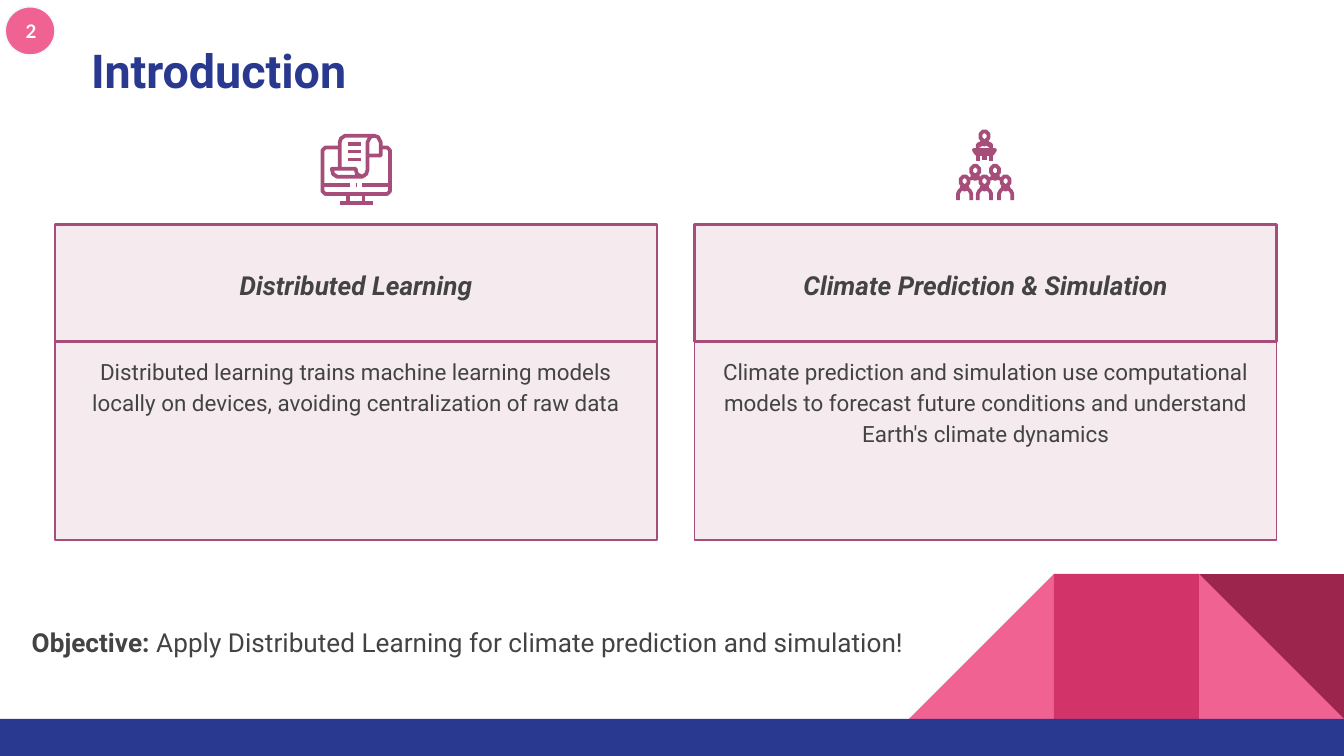
"""Build the introduction slide on distributed learning and climate prediction."""
from lxml import etree
from pptx import Presentation
from pptx.dml.color import RGBColor
from pptx.enum.shapes import MSO_SHAPE
from pptx.enum.text import MSO_ANCHOR, MSO_AUTO_SIZE, PP_ALIGN
from pptx.oxml.ns import qn
from pptx.util import Cm, Pt

RECTANGLE, OVAL, TRIANGLE = MSO_SHAPE.RECTANGLE, MSO_SHAPE.OVAL, MSO_SHAPE.RIGHT_TRIANGLE
CENTER, LEFT = PP_ALIGN.CENTER, PP_ALIGN.LEFT
TOP, MIDDLE = MSO_ANCHOR.TOP, MSO_ANCHOR.MIDDLE

BLUE, PINK, ROSE, WINE = "2A3990", "F06292", "D23369", "9C254D"
PLUM, BLUSH, GRAY, WHITE, PALE = "A64D79", "F2E5EB", "434343", "FFFFFF", "F1F7FF"
SLIDE_WIDTH, SLIDE_HEIGHT = 25.4, 14.29

TITLE = "Introduction"
OBJECTIVE = [
    ("Objective:", {"bold": True}),
    (" Apply Distributed Learning for climate prediction and simulation!", {}),
]
CARDS = [
    (1.04, 11.38, "Distributed Learning",
     "Distributed learning trains machine learning models locally on devices, "
     "avoiding centralization of raw data"),
    (13.13, 11, "Climate Prediction & Simulation",
     "Climate prediction and simulation use computational models to forecast "
     "future conditions and understand Earth's climate dynamics"),
]
HEADER_TOP, HEADER_HEIGHT, DETAIL_HEIGHT = 4.24, 2.21, 3.76

TILE, BAR_HEIGHT = 2.74, 0.7
TILES = [(1, TRIANGLE, 0, PINK), (3, TRIANGLE, 270, PINK),
         (2, RECTANGLE, 0, ROSE), (1, TRIANGLE, 180, WINE)]

COMPUTER = [
    [(14, 10), (3, 10), (1, 12), (1, 43), (3, 45), (50, 45), (52, 43), (52, 12), (50, 10), (46, 10)],
    [(1, 38), (22, 38)], [(26, 38), (27, 38)], [(31, 38), (52, 38)],
    [(14, 26), (14, 6), (15, 3), (18, 1), (40, 1), (43, 2), (45, 6), (45, 16), (35, 16)],
    [(40, 1), (37, 2), (35, 6), (35, 27), (34, 30), (31, 32), (12, 32), (9, 30), (8, 26),
     (26, 26), (27, 30), (31, 32)],
    [(20, 7), (30, 7)], [(20, 13), (30, 13)], [(20, 19), (30, 19)],
    [(20, 45), (20, 52)], [(32, 45), (32, 52)], [(14, 52), (39, 52)],
]
HEAD = [(-1, 0), (1, 0), (3, 2), (3, 5), (1, 7), (-1, 7), (-3, 5), (-3, 2), (-1, 0)]
NECK = [(-2, 7), (-2, 9), (0, 10), (2, 9), (2, 7)]
SHOULDERS = [(-5, 18), (-5, 13), (-4, 11), (-2, 9), (2, 9), (4, 11), (5, 13), (5, 18)]
UPPER_SHOULDERS = [(-4, 10), (-2, 9), (2, 9), (4, 10)]
PEOPLE = [(21, 1, [HEAD, NECK, SHOULDERS[2:6]])] + [
    (x, 27, [HEAD, NECK, UPPER_SHOULDERS]) for x in (14, 29)] + [
    (x, 35, [HEAD, NECK, SHOULDERS]) for x in (6, 21, 37)]
PODIUM = [
    [(16, 14), (16, 11), (18, 10)], [(24, 10), (26, 11), (26, 14)],
    [(13, 15), (29, 15), (27, 18), (15, 18), (13, 15)],
    [(16, 18), (16, 23)], [(26, 18), (26, 23)], [(19, 21), (23, 21)],
]
AUDIENCE = PODIUM + [[(x + dx, y + dy) for dx, dy in stroke]
                     for x, y, strokes in PEOPLE for stroke in strokes]
ICONS = [(6.07, 2.54, COMPUTER), (18.08, 2.46, AUDIENCE)]


def color(value):
    return RGBColor.from_string(value)


def place(shape, left, top, width, height):
    shape.left, shape.top, shape.width, shape.height = map(Cm, (left, top, width, height))


def write(shape, runs, size, ink, align=CENTER, anchor=MIDDLE, spacing=1.0, font="Roboto"):
    frame = shape.text_frame
    frame.word_wrap, frame.vertical_anchor = True, anchor
    frame.auto_size = MSO_AUTO_SIZE.NONE
    frame.margin_left = frame.margin_right = frame.margin_top = frame.margin_bottom = Cm(0.25)
    paragraph = frame.paragraphs[0]
    paragraph.alignment, paragraph.line_spacing = align, spacing
    paragraph.space_before = Pt(0)
    for text, style in runs:
        run = paragraph.add_run()
        run.text = text
        run.font.name, run.font.size = font, Pt(size)
        run.font.bold = style.get("bold", False)
        run.font.italic = style.get("italic", False)
        run.font.color.rgb = color(ink)
    return paragraph


def add_block(slide, kind, box, fill, line=None, line_width=0.75, opacity=100):
    shape = slide.shapes.add_shape(kind, *map(Cm, box))
    shape.shadow.inherit = False
    shape.fill.solid()
    shape.fill.fore_color.rgb = color(fill)
    if opacity < 100:
        tint = shape.fill._xPr.find(qn("a:solidFill"))[0]
        etree.SubElement(tint, qn("a:alpha")).set("val", str(opacity * 1000))
    if line:
        shape.line.color.rgb = color(line)
        shape.line.width = Pt(line_width)
    else:
        shape.line.fill.background()
    return shape


def add_icon(slide, left, top, strokes):
    builder = slide.shapes.build_freeform(*strokes[0][0], scale=Cm(0.025))
    for stroke in strokes:
        builder.move_to(*stroke[0])
        builder.add_line_segments(stroke[1:], close=False)
    icon = builder.convert_to_shape(Cm(left), Cm(top))
    icon.shadow.inherit = False
    icon.fill.background()
    icon.line.color.rgb = color(PLUM)
    icon.line.width = Pt(2)


def add_card(slide, left, width, heading, detail):
    detail_box = (left, HEADER_TOP + HEADER_HEIGHT, width, DETAIL_HEIGHT)
    header_box = (left, HEADER_TOP, width, HEADER_HEIGHT)
    body = add_block(slide, RECTANGLE, detail_box, BLUSH, PLUM, 0.75, 77)
    write(body, [(detail, {})], 12, GRAY, anchor=TOP, spacing=1.15)
    header = add_block(slide, RECTANGLE, header_box, BLUSH, PLUM, 1.5, 77)
    write(header, [(heading, {"bold": True, "italic": True})], 14, GRAY, spacing=1.15)


def main():
    presentation = Presentation()
    presentation.slide_width, presentation.slide_height = Cm(SLIDE_WIDTH), Cm(SLIDE_HEIGHT)
    slide = presentation.slides.add_slide(presentation.slide_layouts[1])
    bar_top = SLIDE_HEIGHT - BAR_HEIGHT
    for column, kind, rotation, fill in TILES:
        box = (SLIDE_WIDTH - column * TILE, bar_top - TILE, TILE, TILE)
        add_block(slide, kind, box, fill).rotation = rotation
    add_block(slide, RECTANGLE, (0, bar_top, SLIDE_WIDTH, BAR_HEIGHT), BLUE)

    title, objective = slide.placeholders
    place(title, 1.47, 0.48, 23.67, 1.68)
    write(title, [(TITLE, {"bold": True})], 25, BLUE, align=LEFT)
    place(objective, 0.1, 11.51, 17.48, 4.83)
    paragraph = write(objective, OBJECTIVE, 14, GRAY, anchor=TOP, spacing=1.15)
    paragraph.space_after = Pt(12)
    properties = paragraph._p.get_or_add_pPr()
    properties.set("marL", "0")
    properties.set("indent", "0")
    etree.SubElement(properties, qn("a:buNone"))

    for card in CARDS:
        add_card(slide, *card)
    for icon in ICONS:
        add_icon(slide, *icon)
    badge = add_block(slide, OVAL, (0.1, 0.13, 0.94, 0.91), PINK, PALE)
    write(badge, [("2", {"bold": True})], 10, WHITE, font="Lato")
    presentation.save("out.pptx")


if __name__ == "__main__":
    main()
